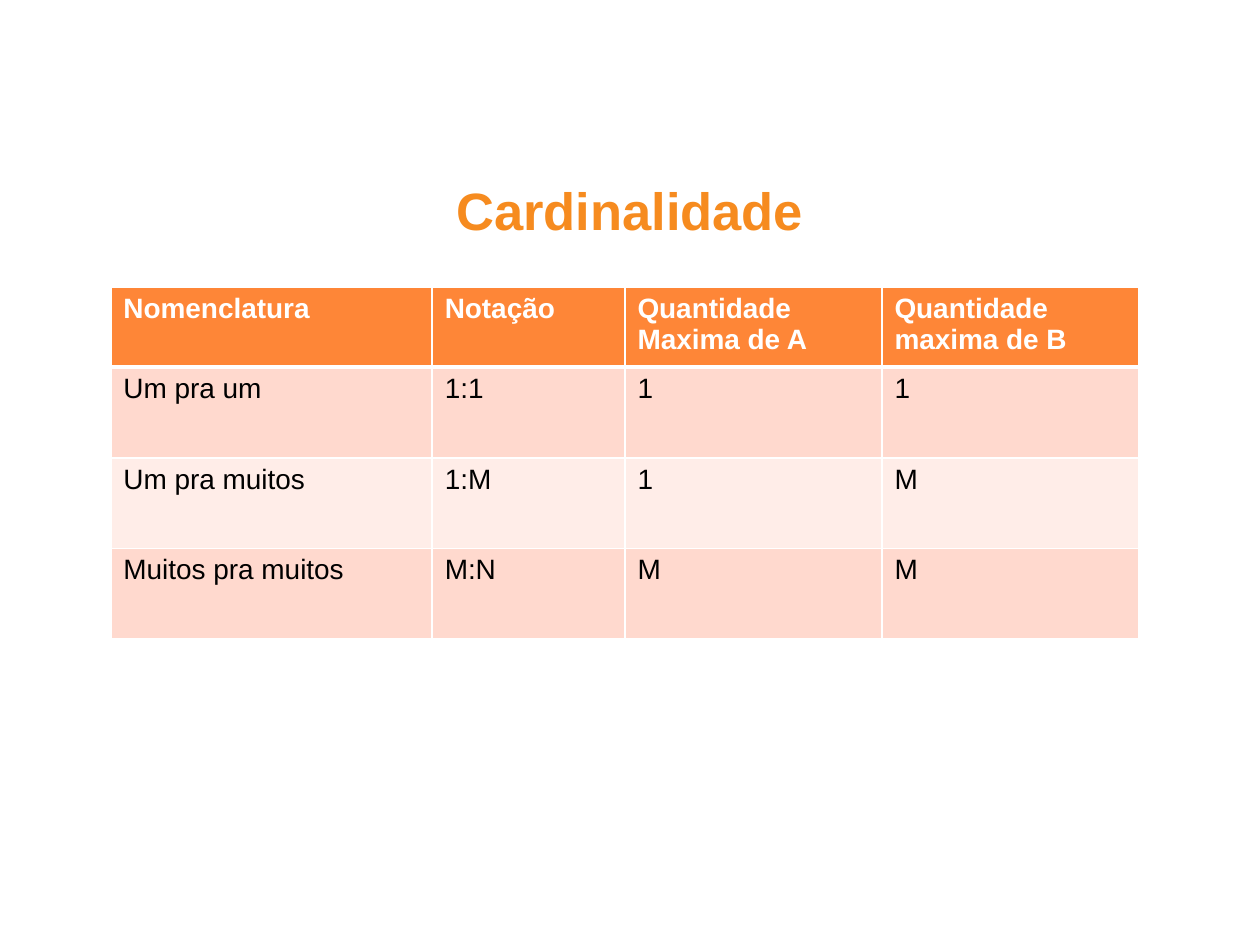
from dataclasses import dataclass

from lxml.etree import SubElement
from pptx import Presentation
from pptx.dml.color import RGBColor
from pptx.enum.text import MSO_ANCHOR, PP_ALIGN
from pptx.oxml.ns import qn
from pptx.util import Inches, Pt


@dataclass(frozen=True)
class Theme:
    """Colours, font and type sizes of the slide."""
    font: str = "Arial"
    title: str = "F68B1F"
    header: str = "FE8637"
    bands: tuple = ("FFD9CE", "FFEDE8")
    light: str = "FFFFFF"
    dark: str = "000000"
    title_size: int = 30
    table_size: int = 16
    thin: int = 1
    thick: int = 3


class SlideBuilder:
    """Holds the theme and the current page and draws on it."""

    def __init__(self, deck, theme):
        self.theme = theme
        self.width, self.height = deck.slide_width, deck.slide_height
        self.page = deck.slides.add_slide(deck.slide_layouts[6])

    def style(self, paragraph, size, color, bold):
        for span in paragraph.runs:
            span.font.name = self.theme.font
            span.font.size = Pt(size)
            span.font.bold = bold
            span.font.color.rgb = RGBColor.from_string(color)

    def title(self, text, top, height):
        box = self.page.shapes.add_textbox(
            0, int(top * self.height), self.width, int(height * self.height))
        frame = box.text_frame
        frame.word_wrap = True
        frame.margin_left = frame.margin_right = Inches(0.1)
        frame.margin_top = frame.margin_bottom = Inches(0.1)
        frame.vertical_anchor = MSO_ANCHOR.TOP
        frame.text = text
        paragraph = frame.paragraphs[0]
        paragraph.alignment = PP_ALIGN.CENTER
        self.style(paragraph, self.theme.title_size, self.theme.title, True)

    def borders(self, cell, top, bottom):
        properties = cell._tc.get_or_add_tcPr()
        thin = self.theme.thin
        sides = {"L": thin, "R": thin, "T": top, "B": bottom}
        for index, (side, points) in enumerate(sides.items()):
            line = SubElement(properties, qn(f"a:ln{side}"), w=str(Pt(points)))
            fill = SubElement(line, qn("a:solidFill"))
            SubElement(fill, qn("a:srgbClr"), val=self.theme.light)
            properties.insert(index, line)

    def table(self, rows, left, top, column_shares, row_shares):
        theme = self.theme
        widths = [int(share * self.width) for share in column_shares]
        heights = [int(share * self.height) for share in row_shares]
        table = self.page.shapes.add_table(
            len(rows), len(widths), int(left * self.width),
            int(top * self.height), sum(widths), sum(heights)).table
        for column, width in zip(table.columns, widths):
            column.width = width
        for number, values in enumerate(rows):
            table.rows[number].height = heights[number]
            header = number == 0
            fill = theme.header if header else theme.bands[(number - 1) % 2]
            color = theme.light if header else theme.dark
            above = theme.thick if number == 1 else theme.thin
            below = theme.thick if header else theme.thin
            for cell, value in zip(table.rows[number].cells, values):
                cell.text_frame.text = value
                cell.fill.solid()
                cell.fill.fore_color.rgb = RGBColor.from_string(fill)
                self.style(cell.text_frame.paragraphs[0],
                           theme.table_size, color, header)
                self.borders(cell, above, below)


deck = Presentation()
deck.slide_width, deck.slide_height = Inches(10), Inches(7.5)
builder = SlideBuilder(deck, Theme())
builder.title("Cardinalidade", top=1.31 / 7.5, height=0.71 / 7.5)
builder.table(
    [("Nomenclatura", "Notação", "Quantidade Maxima de A",
      "Quantidade maxima de B"),
     ("Um pra um", "1:1", "1", "1"),
     ("Um pra muitos", "1:M", "1", "M"),
     ("Muitos pra muitos", "M:N", "M", "M")],
    left=0.88 / 10, top=2.28 / 7.5,
    column_shares=[units * 0.51 / 10 for units in (5, 3, 4, 4)],
    row_shares=[0.63 / 7.5] + [0.72 / 7.5] * 3)
deck.save("out.pptx")
